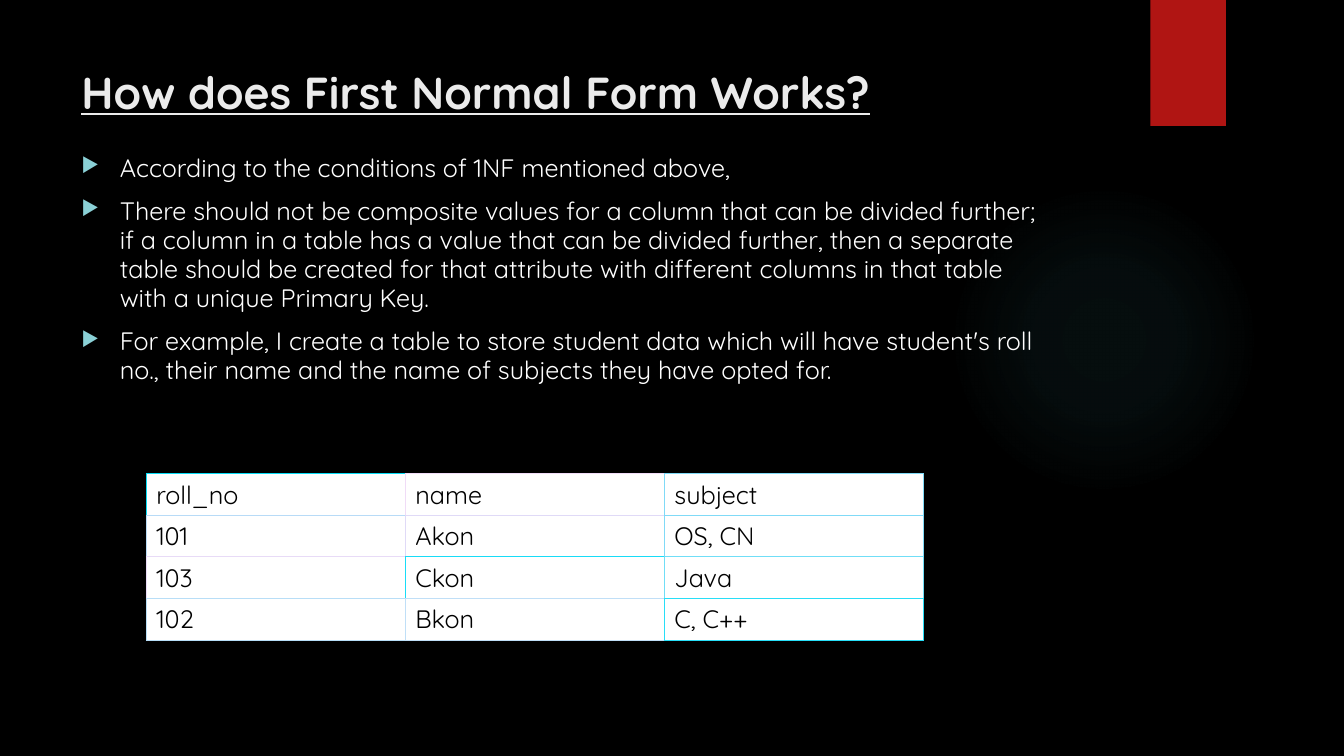
from lxml.etree import SubElement
from pptx import Presentation
from pptx.dml.color import RGBColor
from pptx.enum.shapes import MSO_SHAPE as Preset
from pptx.enum.text import MSO_ANCHOR as Anchor
from pptx.oxml import parse_xml
from pptx.oxml.ns import nsdecls, qn
from pptx.util import Inches, Pt

TITLE = "How does\u00a0First Normal Form Works?"
POINTS = [
    "According to the conditions of 1NF mentioned above,",
    "There should not be composite values for a column that can be divided "
    "further; if a column in a table has a value that can be divided further, "
    "then a separate table should be created for that attribute with different "
    "columns in that table with a unique Primary Key.",
    "For example, I create a table to store student data which will have "
    "student's roll no., their name and the name of subjects they have opted for.",
]
STUDENTS = [
    ["roll_no", "name", "subject"],
    ["101", "Akon", "OS, CN"],
    ["103", "Ckon", "Java"],
    ["102", "Bkon", "C, C++"],
]
EDGES = [
    ["08DDF7", "F0DCF7", "80DAF7"],
    ["B8DBF7", "E0DAF7", "80DAF7"],
    ["E8DBF7", "18DCF7", "70DEF7"],
    ["B8DEF7", "C0DFF7", "28DEF7"],
]
GLOW_STOPS = [(0, 7), (36, 6), (69, 0)]


def color(value):
    return RGBColor.from_string(value)


def inches(box):
    return [Inches(length) for length in box]


def apply(target, values):
    for name, value in values.items():
        setattr(target, name, value)


def write(para, text, size, ink, **formats):
    span = para.add_run()
    span.text = text
    apply(span.font, {"name": "Quicksand", "size": Pt(size), **formats})
    span.font.color.rgb = color(ink)


def add_frame(page, box):
    frame = page.shapes.add_textbox(*inches(box)).text_frame
    apply(frame, {"word_wrap": True, "vertical_anchor": Anchor.TOP})
    return frame


def add_plain_shape(page, preset, box):
    shape = page.shapes.add_shape(preset, *inches(box))
    shape.shadow.inherit = False
    shape.line.fill.background()
    return shape


def add_glow(page, box):
    glow = add_plain_shape(page, Preset.OVAL, box)
    glow.fill.background()
    stops = "".join(
        f'<a:gs pos="{place * 1000}"><a:srgbClr val="50B9C1">'
        f'<a:alpha val="{alpha * 1000}"/></a:srgbClr></a:gs>'
        for place, alpha in GLOW_STOPS
    )
    gradient = parse_xml(
        f'<a:gradFill {nsdecls("a")}><a:gsLst>{stops}</a:gsLst><a:path path="circle">'
        '<a:fillToRect l="50000" t="50000" r="50000" b="50000"/></a:path></a:gradFill>'
    )
    properties = glow.element.spPr
    properties.replace(properties.find(qn("a:noFill")), gradient)


def add_ribbon(page, box):
    ribbon = add_plain_shape(page, Preset.RECTANGLE, box)
    ribbon.fill.solid()
    ribbon.fill.fore_color.rgb = color("B01513")


def add_title(page, box):
    frame = add_frame(page, box)
    write(frame.paragraphs[0], TITLE, 32, "EBEBEB", bold=True, underline=True)


def add_bullet(para):
    properties = para._p.get_or_add_pPr()
    indent = Inches(0.38)
    properties.set("marL", str(indent))
    properties.set("indent", str(-indent))
    tint = SubElement(properties, qn("a:buClr"))
    SubElement(tint, qn("a:srgbClr"), val="8AD0D6")
    SubElement(properties, qn("a:buSzPct"), val="80000")
    SubElement(properties, qn("a:buChar"), char="▶")


def add_points(page, box):
    frame = add_frame(page, box)
    for index, text in enumerate(POINTS):
        para = frame.add_paragraph() if index else frame.paragraphs[0]
        apply(para, {"space_before": Pt(10), "line_spacing": 0.96})
        add_bullet(para)
        write(para, text, 18, "FFFFFF")


def add_borders(cell, row, column):
    below = min(row + 1, len(EDGES) - 1)
    beside = min(column + 1, len(EDGES[0]) - 1)
    sides = {
        "L": EDGES[row][column],
        "R": EDGES[row][beside],
        "T": EDGES[row][column],
        "B": EDGES[below][column],
    }
    properties = cell._tc.get_or_add_tcPr()
    for side, ink in sides.items():
        line = SubElement(properties, qn(f"a:ln{side}"), w=str(Pt(0.75)))
        fill = SubElement(line, qn("a:solidFill"))
        SubElement(fill, qn("a:srgbClr"), val=ink)


def add_students(page, box):
    table = page.shapes.add_table(len(STUDENTS), len(STUDENTS[0]), *inches(box)).table
    apply(table, {"first_row": False, "horz_banding": False})
    for row, values in enumerate(STUDENTS):
        for column, text in enumerate(values):
            cell = table.cell(row, column)
            add_borders(cell, row, column)
            cell.fill.solid()
            cell.fill.fore_color.rgb = color("FFFFFF")
            write(cell.text_frame.paragraphs[0], text, 18, "000000")


def build_slide(deck):
    page = deck.slides.add_slide(deck.slide_layouts[6])
    page.background.fill.solid()
    page.background.fill.fore_color.rgb = color("000000")
    add_glow(page, (9.41, 1.83, 3.08, 3.08))
    add_ribbon(page, (11.41, 0, 0.75, 1.25))
    add_title(page, (0.71, 0.59, 10.29, 1.53))
    add_points(page, (0.71, 1.48, 9.78, 4.59))
    add_students(page, (1.45, 4.7, 7.71, 1.65))


deck = Presentation()
apply(deck, {"slide_width": Inches(13.33), "slide_height": Inches(7.5)})
build_slide(deck)
deck.save("out.pptx")
